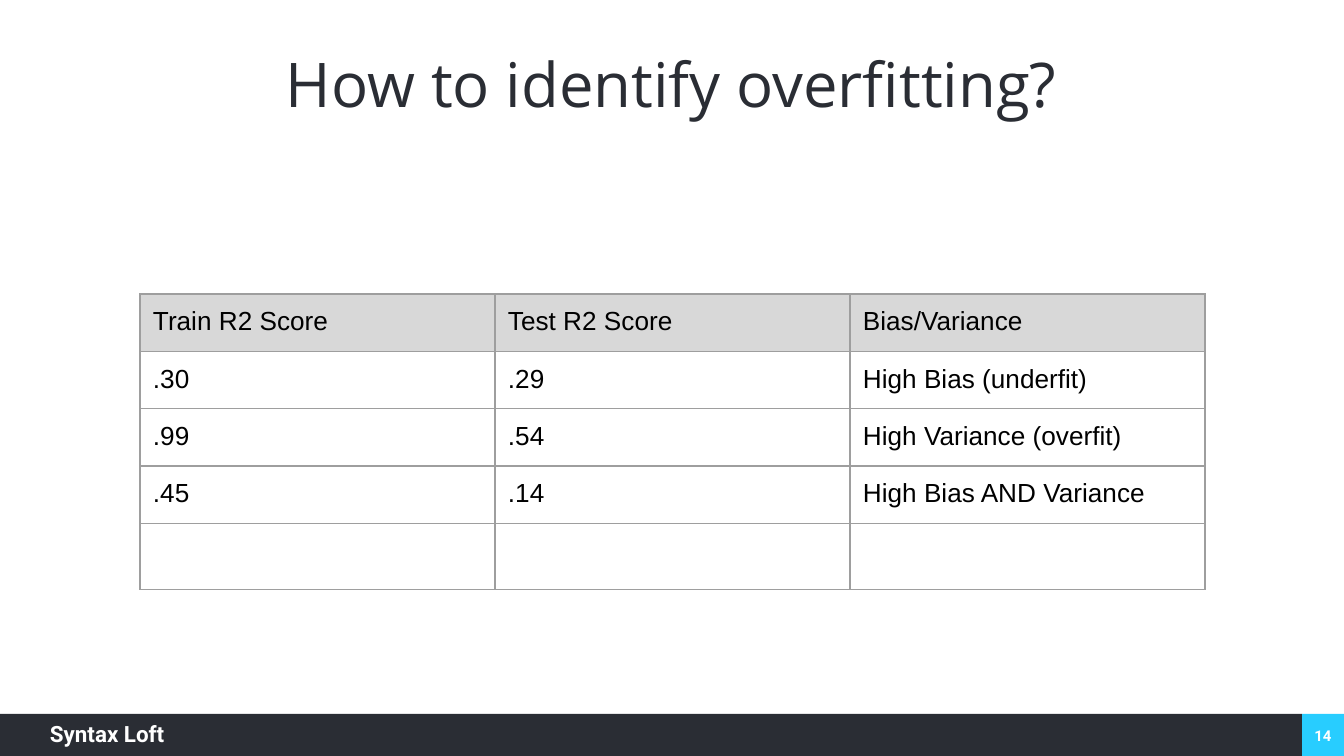
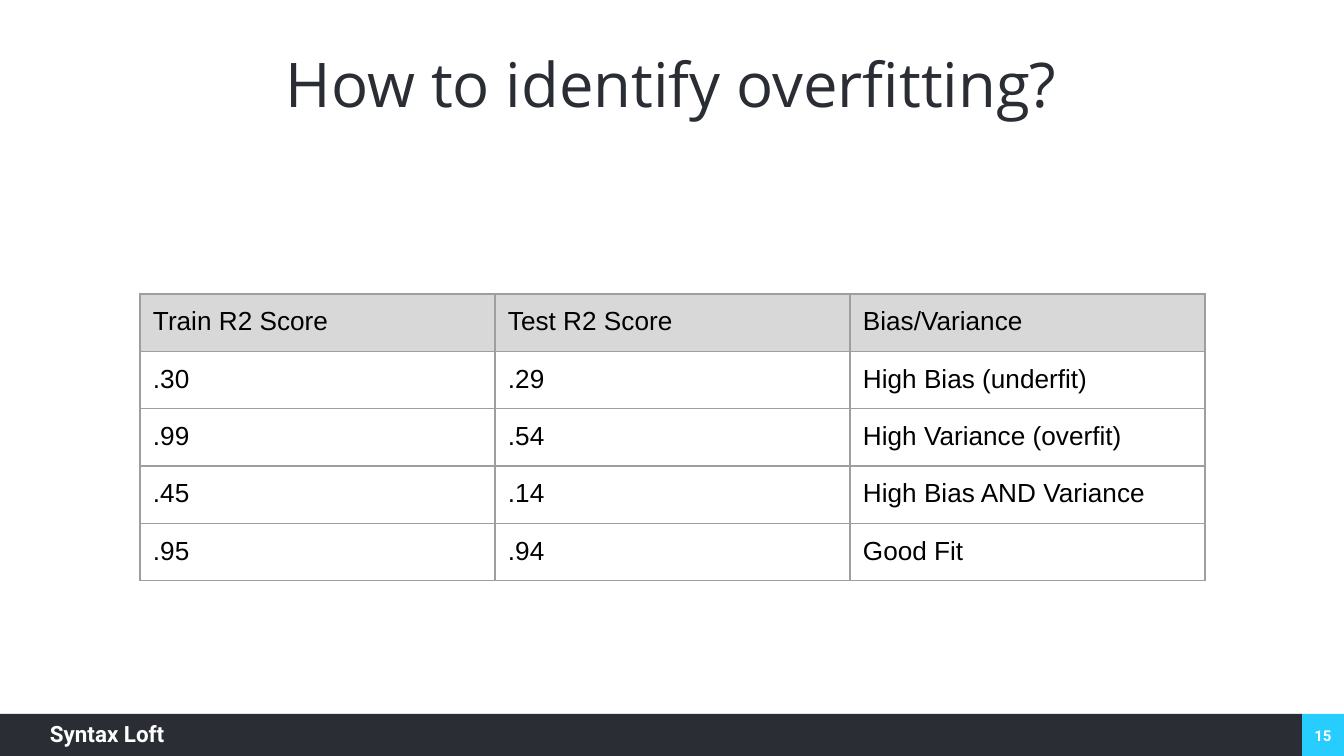
"""Build two slides on identifying overfitting from train and test R2 scores."""
import pptx
import pptx.dml.color
import pptx.enum.shapes
import pptx.enum.text
import pptx.oxml.ns
import pptx.util
from lxml import etree

TITLE = "How to identify overfitting?"
BRAND = "Syntax Loft"
HEADER = ("Train R2 Score", "Test R2 Score", "Bias/Variance")
SCORES = [
    (".30", ".29", "High Bias (underfit)"),
    (".99", ".54", "High Variance (overfit)"),
    (".45", ".14", "High Bias AND Variance"),
]
SLIDES = [
    (14, [HEADER, *SCORES, ("", "", "")]),
    (15, [HEADER, *SCORES, (".95", ".94", "Good Fit")]),
]

COLORS = {
    "dark": "2A2D34",
    "accent": "28CDFF",
    "white": "FFFFFF",
    "text": "000000",
    "header": "D8D8D8",
    "border": "9E9E9E",
}
WIDTH, HEIGHT = 1344, 756
FOOTER_HEIGHT = 42
FOOTER_TOP = HEIGHT - FOOTER_HEIGHT
BAND_WIDTH = WIDTH - FOOTER_HEIGHT
TABLE_LEFT, TABLE_TOP = 140, 294
COLUMN_WIDTH, ROW_HEIGHT = 355, 56
CELL_MARGIN = 13
BORDER_WIDTH = 0.75

LEFT, CENTER = pptx.enum.text.PP_ALIGN.LEFT, pptx.enum.text.PP_ALIGN.CENTER
TOP, MIDDLE = pptx.enum.text.MSO_ANCHOR.TOP, pptx.enum.text.MSO_ANCHOR.MIDDLE


def px(length):
    return pptx.util.Emu(round(length * 914400 / 134.4))


def rgb(name):
    return pptx.dml.color.RGBColor.from_string(COLORS[name])


def set_margins(target, horizontal, vertical):
    target.margin_left = target.margin_right = px(horizontal)
    target.margin_top = target.margin_bottom = px(vertical)


def add_run(paragraph, text, font, size, color, bold=False):
    run = paragraph.add_run()
    run.text = text
    run.font.name = font
    run.font.size = pptx.util.Pt(size)
    run.font.bold = bold
    run.font.color.rgb = rgb(color)


def add_text(slide, box, text, font, size, color, bold=False,
             align=LEFT, anchor=TOP, margins=(0, 0)):
    frame = slide.shapes.add_textbox(*map(px, box)).text_frame
    frame.word_wrap = True
    frame.vertical_anchor = anchor
    set_margins(frame, *margins)
    frame.paragraphs[0].alignment = align
    add_run(frame.paragraphs[0], text, font, size, color, bold)


def add_band(slide, left, width, color):
    band = slide.shapes.add_shape(
        pptx.enum.shapes.MSO_SHAPE.RECTANGLE,
        px(left), px(FOOTER_TOP), px(width), px(FOOTER_HEIGHT))
    band.shadow.inherit = False
    band.fill.solid()
    band.fill.fore_color.rgb = rgb(color)
    band.line.fill.background()


def add_footer(slide, number):
    add_band(slide, BAND_WIDTH, FOOTER_HEIGHT, "accent")
    add_band(slide, 0, BAND_WIDTH, "dark")
    add_text(slide, (50, 720, 211, 31), BRAND, "Roboto", 12, "white", bold=True)
    add_text(slide, (1303, 716, 40, 40), str(number), "Roboto", 8, "white",
             bold=True, align=CENTER, anchor=MIDDLE, margins=(9, 5))


def add_borders(cell):
    qn = pptx.oxml.ns.qn
    properties = cell._tc.get_or_add_tcPr()
    for side in ("a:lnL", "a:lnR", "a:lnT", "a:lnB"):
        edge = etree.SubElement(properties, qn(side),
                                w=str(pptx.util.Pt(BORDER_WIDTH)))
        fill = etree.SubElement(edge, qn("a:solidFill"))
        etree.SubElement(fill, qn("a:srgbClr"), val=COLORS["border"])


def add_scores(slide, rows):
    columns = len(HEADER)
    table = slide.shapes.add_table(
        len(rows), columns, px(TABLE_LEFT), px(TABLE_TOP),
        px(COLUMN_WIDTH * columns), px(ROW_HEIGHT * len(rows))).table
    table.first_row = table.horz_banding = False
    for row_index, row in enumerate(rows):
        for column_index, text in enumerate(row):
            cell = table.cell(row_index, column_index)
            set_margins(cell, CELL_MARGIN, CELL_MARGIN)
            add_borders(cell)
            if row_index == 0:
                cell.fill.solid()
                cell.fill.fore_color.rgb = rgb("header")
            else:
                cell.fill.background()
            if text:
                add_run(cell.text_frame.paragraphs[0], text, "Arial", 14, "text")


def main():
    deck = pptx.Presentation()
    deck.slide_width, deck.slide_height = px(WIDTH), px(HEIGHT)
    for number, rows in SLIDES:
        slide = deck.slides.add_slide(deck.slide_layouts[6])
        slide.background.fill.solid()
        slide.background.fill.fore_color.rgb = rgb("white")
        add_footer(slide, number)
        add_text(slide, (93, 20, 1157, 126), TITLE, "Open Sans", 33, "dark",
                 align=CENTER, anchor=MIDDLE, margins=(3, 3))
        add_scores(slide, rows)
    deck.save("out.pptx")


if __name__ == "__main__":
    main()
